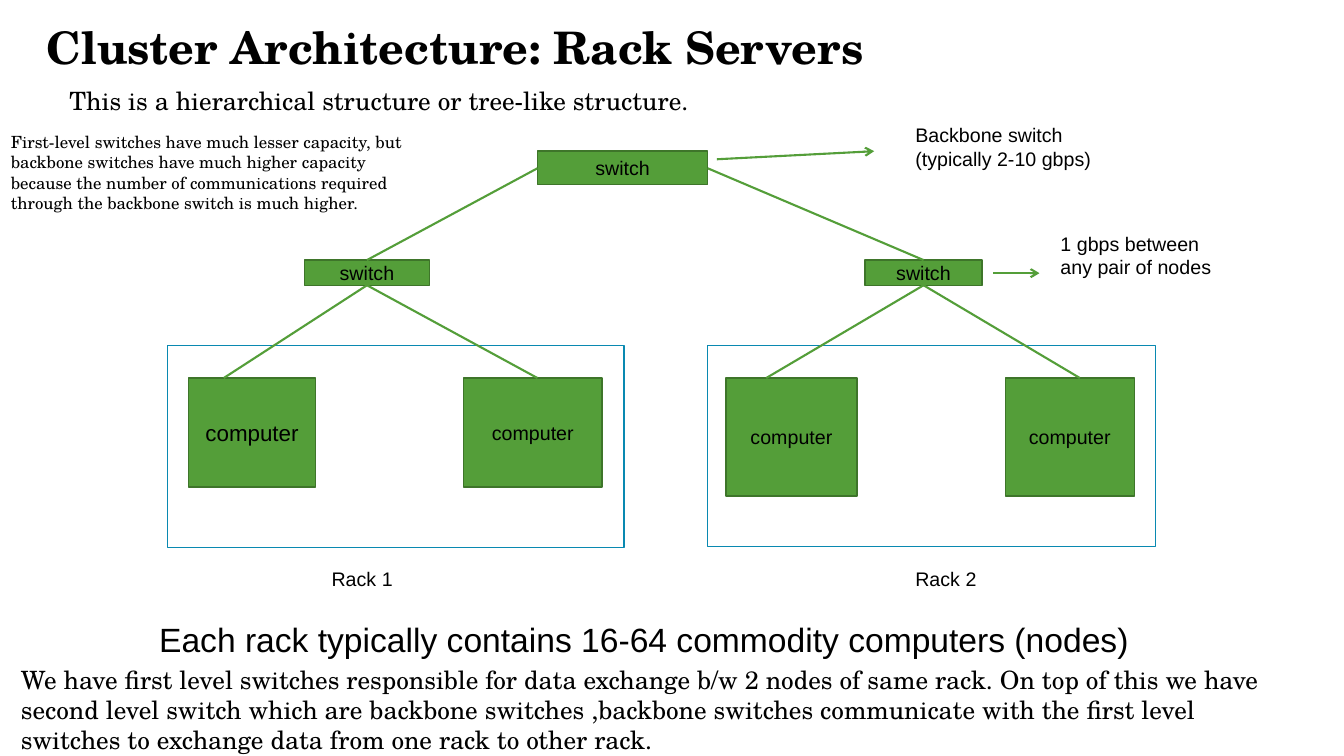
from dataclasses import dataclass

from lxml import etree
from pptx import Presentation
from pptx import util as u
from pptx.dml import color
from pptx.enum import shapes, text
from pptx.oxml import ns

EMU_PER_PX = 9144
COLORS = {
    "ink": "000000",
    "paper": "FFFFFF",
    "node": "549E39",
    "node_edge": "3E752A",
    "rack_edge": "0989B1",
}
SANS = "Arial"
SERIF = "TeX Gyre Schola"


@dataclass(frozen=True)
class Box:
    left: int
    top: int
    width: int
    height: int
    label: str = ""
    size: int = 14
    fill: str = "node"
    edge: str = "node_edge"

    @property
    def center(self) -> int:
        return self.left + self.width // 2

    @property
    def bottom(self) -> int:
        return self.top + self.height


@dataclass(frozen=True)
class Link:
    x1: int
    y1: int
    x2: int
    y2: int
    arrow: bool = False


@dataclass(frozen=True)
class Note:
    left: int
    top: int
    width: int
    height: int
    words: str
    size: int = 14
    font: str = SANS
    wrap: bool = False


def px(length: int) -> u.Emu:
    return u.Emu(length * EMU_PER_PX)


def rgb(name: str) -> color.RGBColor:
    return color.RGBColor.from_string(COLORS[name])


def format_text(frame, size: int, font: str, bold: bool = False) -> None:
    for paragraph in frame.paragraphs:
        for run in paragraph.runs:
            run.font.size = u.Pt(size)
            run.font.name = font
            run.font.bold = bold
            run.font.color.rgb = rgb("ink")


def draw_box(slide, box: Box) -> None:
    shape = slide.shapes.add_shape(
        shapes.MSO_SHAPE.RECTANGLE,
        px(box.left), px(box.top), px(box.width), px(box.height))
    shape.shadow.inherit = False
    shape.fill.solid()
    shape.fill.fore_color.rgb = rgb(box.fill)
    shape.line.color.rgb = rgb(box.edge)
    shape.line.width = u.Pt(1)
    if box.label:
        frame = shape.text_frame
        frame.text = box.label
        frame.vertical_anchor = text.MSO_ANCHOR.MIDDLE
        frame.paragraphs[0].alignment = text.PP_ALIGN.CENTER
        format_text(frame, box.size, SANS)


def draw_link(slide, link: Link) -> None:
    connector = slide.shapes.add_connector(
        shapes.MSO_CONNECTOR.STRAIGHT,
        px(link.x1), px(link.y1), px(link.x2), px(link.y2))
    connector.line.color.rgb = rgb("node")
    connector.line.width = u.Pt(1.5)
    if link.arrow:
        etree.SubElement(connector.line._get_or_add_ln(), ns.qn("a:tailEnd"), type="arrow")
    etree.SubElement(connector._element.spPr, ns.qn("a:effectLst"))


def draw_note(slide, note: Note) -> None:
    frame = slide.shapes.add_textbox(
        px(note.left), px(note.top), px(note.width), px(note.height)).text_frame
    frame.word_wrap = note.wrap
    frame.auto_size = text.MSO_AUTO_SIZE.SHAPE_TO_FIT_TEXT
    frame.text = note.words
    format_text(frame, note.size, note.font)


def draw_title(slide, words: str) -> None:
    title = slide.shapes.title
    title.left, title.top, title.width, title.height = px(36), px(20), px(1058), px(59)
    frame = title.text_frame
    frame.text = words
    frame.auto_size = text.MSO_AUTO_SIZE.NONE
    frame.vertical_anchor = text.MSO_ANCHOR.MIDDLE
    frame.paragraphs[0].alignment = text.PP_ALIGN.LEFT
    frame.paragraphs[0].line_spacing = 0.9
    format_text(frame, 32, SERIF, bold=True)


RACKS = [
    Box(166, 343, 453, 200, fill="paper", edge="rack_edge"),
    Box(702, 343, 444, 199, fill="paper", edge="rack_edge"),
]
BACKBONE = Box(533, 150, 169, 33, "switch")
RACK_SWITCHES = [Box(302, 258, 124, 25, "switch"), Box(858, 258, 116, 25, "switch")]
COMPUTERS = [
    Box(187, 375, 126, 108, "computer", 16),
    Box(460, 375, 137, 108, "computer"),
    Box(720, 375, 130, 117, "computer"),
    Box(997, 375, 128, 117, "computer"),
]
COMPUTER_PORTS = [(222, 533), (760, 1071)]
BACKBONE_PORTS = [BACKBONE.left, BACKBONE.left + BACKBONE.width]
CALLOUTS = [Link(711, 158, 867, 150, arrow=True), Link(985, 271, 1031, 271, arrow=True)]
NOTES = [
    Note(319, 558, 81, 34, "Rack 1"),
    Note(898, 558, 81, 34, "Rack 2"),
    Note(898, 117, 195, 57, "Backbone switch\n(typically 2-10 gbps)"),
    Note(1042, 225, 184, 57, "1 gbps between any pair of nodes", wrap=True),
    Note(148, 609, 982, 50,
         "Each rack typically contains 16-64 commodity computers (nodes)", 24),
    Note(59, 80, 791, 40,
         "This is a hierarchical structure or tree-like structure.", 18, SERIF, True),
    Note(1, 126, 434, 91,
         "First-level switches have much lesser capacity, but backbone switches have "
         "much higher capacity because the number of communications required through "
         "the backbone switch is much higher.", 12, SERIF, True),
    Note(11, 654, 1270, 101,
         "We have first level switches responsible for data exchange b/w 2 nodes of "
         "same rack. On top of this we have second level switch which are backbone "
         "switches ,backbone switches communicate with the first level switches to "
         "exchange data from one rack to other rack.", 18, SERIF, True),
]


def main() -> None:
    deck = Presentation()
    deck.slide_width, deck.slide_height = px(1333), px(750)
    slide = deck.slides.add_slide(deck.slide_layouts.get_by_name("Title Only"))
    draw_title(slide, "Cluster Architecture: Rack Servers")
    for box in [*RACKS, *RACK_SWITCHES, *COMPUTERS, BACKBONE]:
        draw_box(slide, box)
    for switch, uplink, ports in zip(RACK_SWITCHES, BACKBONE_PORTS, COMPUTER_PORTS):
        draw_link(slide, Link(uplink, 167, switch.center, switch.top))
        for port in ports:
            draw_link(slide, Link(switch.center, switch.bottom, port, 375))
    for callout in CALLOUTS:
        draw_link(slide, callout)
    for note in NOTES:
        draw_note(slide, note)
    deck.save("out.pptx")


if __name__ == "__main__":
    main()
